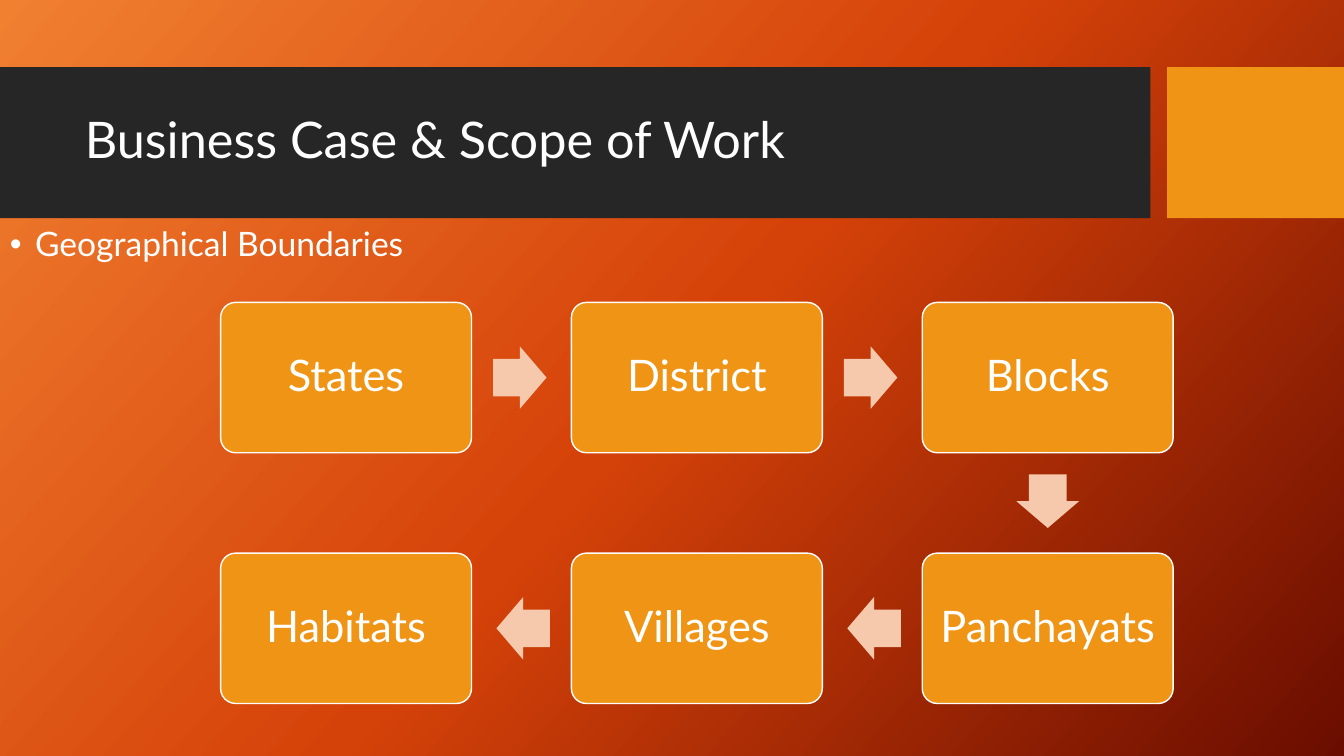
from copy import deepcopy
from dataclasses import dataclass
from itertools import pairwise

from lxml import etree
from pptx import Presentation
from pptx import util as u
from pptx.dml import color
from pptx.enum import shapes, text
from pptx.oxml import ns

HUES = {
    "glow": "F18031", "flame": "D54209", "ember": "6A0D00",
    "band": "262626", "gold": "F09415", "peach": "F6C8AC", "white": "FFFFFF",
}
FONT = "Lato"
WIDE, HIGH = 179.2, 107.4
LEFT, TOP = 157.6, 216
STEP, DROP = 250.6, 179.1
LONG, BROAD = 38.2, 44.7
BACK = 1.2


@dataclass
class Area:
    left: float
    top: float
    wide: float
    high: float

    def points(self) -> tuple:
        return u.Pt(self.left), u.Pt(self.top), u.Pt(self.wide), u.Pt(self.high)


@dataclass
class Stage:
    name: str
    col: int
    row: int

    def area(self) -> Area:
        return Area(LEFT + self.col * STEP, TOP + self.row * DROP, WIDE, HIGH)


STAGES = [
    Stage("States", 0, 0), Stage("District", 1, 0), Stage("Blocks", 2, 0),
    Stage("Panchayats", 2, 1), Stage("Villages", 1, 1), Stage("Habitats", 0, 1),
]
TURNS = {(1, 0): 0, (0, 1): 90, (-1, 0): 180}


def tint(key: str) -> color.RGBColor:
    return color.RGBColor.from_string(HUES[key])


def paint_back(slide) -> None:
    fill = slide.background.fill
    fill.gradient()
    fill.gradient_angle = 318
    stops = slide.element.find(".//" + ns.qn("a:gsLst"))
    stops.insert(1, deepcopy(stops[0]))
    for stop, key, place in zip(fill.gradient_stops, ("glow", "flame", "ember"), (0, 0.5, 1)):
        stop.color.rgb = tint(key)
        stop.position = place


def add_block(slide, kind, area: Area, hue: str):
    block = slide.shapes.add_shape(kind, *area.points())
    block.shadow.inherit = False
    block.fill.solid()
    block.fill.fore_color.rgb = tint(hue)
    block.line.fill.background()
    return block


def write(shape, words: str, size: float, align, anchor):
    frame = shape.text_frame
    frame.text = words
    frame.word_wrap = True
    frame.vertical_anchor = anchor
    para = frame.paragraphs[0]
    para.alignment = align
    para.line_spacing = 0.9
    font = para.runs[0].font
    font.name, font.size = FONT, u.Pt(size)
    font.color.rgb = tint("white")
    return para


def add_text(slide, area: Area, words: str, size: float, anchor):
    box = slide.shapes.add_textbox(*area.points())
    return write(box, words, size, text.PP_ALIGN.LEFT, anchor)


def add_dot(para) -> None:
    props = para._p.get_or_add_pPr()
    props.set("marL", str(u.Pt(18)))
    props.set("indent", str(u.Pt(-18)))
    etree.SubElement(props, ns.qn("a:buFont")).set("typeface", "Arial")
    etree.SubElement(props, ns.qn("a:buChar")).set("char", "•")


def add_stage(slide, stage: Stage) -> None:
    card = add_block(slide, shapes.MSO_SHAPE.ROUNDED_RECTANGLE, stage.area(), "gold")
    card.adjustments[0] = 0.1
    card.line.color.rgb = tint("white")
    card.line.width = u.Pt(1)
    write(card, stage.name, 31, text.PP_ALIGN.CENTER, text.MSO_ANCHOR.MIDDLE)


def add_arrow(slide, start: Stage, end: Stage) -> None:
    way = (end.col - start.col, end.row - start.row)
    one, two = start.area(), end.area()
    mid = (one.left + two.left + WIDE) / 2 - BACK * way[0]
    level = (one.top + two.top + HIGH) / 2 - BACK * way[1]
    area = Area(mid - LONG / 2, level - BROAD / 2, LONG, BROAD)
    arrow = add_block(slide, shapes.MSO_SHAPE.RIGHT_ARROW, area, "peach")
    arrow.adjustments[0] = 0.6
    arrow.adjustments[1] = 0.5
    arrow.rotation = TURNS[way]


def main() -> None:
    deck = Presentation()
    deck.slide_width, deck.slide_height = u.Pt(960), u.Pt(540)
    slide = deck.slides.add_slide(deck.slide_layouts[6])
    paint_back(slide)
    add_block(slide, shapes.MSO_SHAPE.RECTANGLE, Area(0, 48, 821.8, 107.8), "band")
    add_block(slide, shapes.MSO_SHAPE.RECTANGLE, Area(833.6, 48, 126.4, 107.8), "gold")
    add_text(slide, Area(53.5, 59.2, 756.7, 85), "Business Case & Scope of Work",
             36, text.MSO_ANCHOR.MIDDLE)
    topic = add_text(slide, Area(0, 159, 328.3, 56.9), "Geographical Boundaries",
                     24, text.MSO_ANCHOR.TOP)
    add_dot(topic)
    for stage in STAGES:
        add_stage(slide, stage)
    for start, end in pairwise(STAGES):
        add_arrow(slide, start, end)
    deck.save("out.pptx")


if __name__ == "__main__":
    main()
